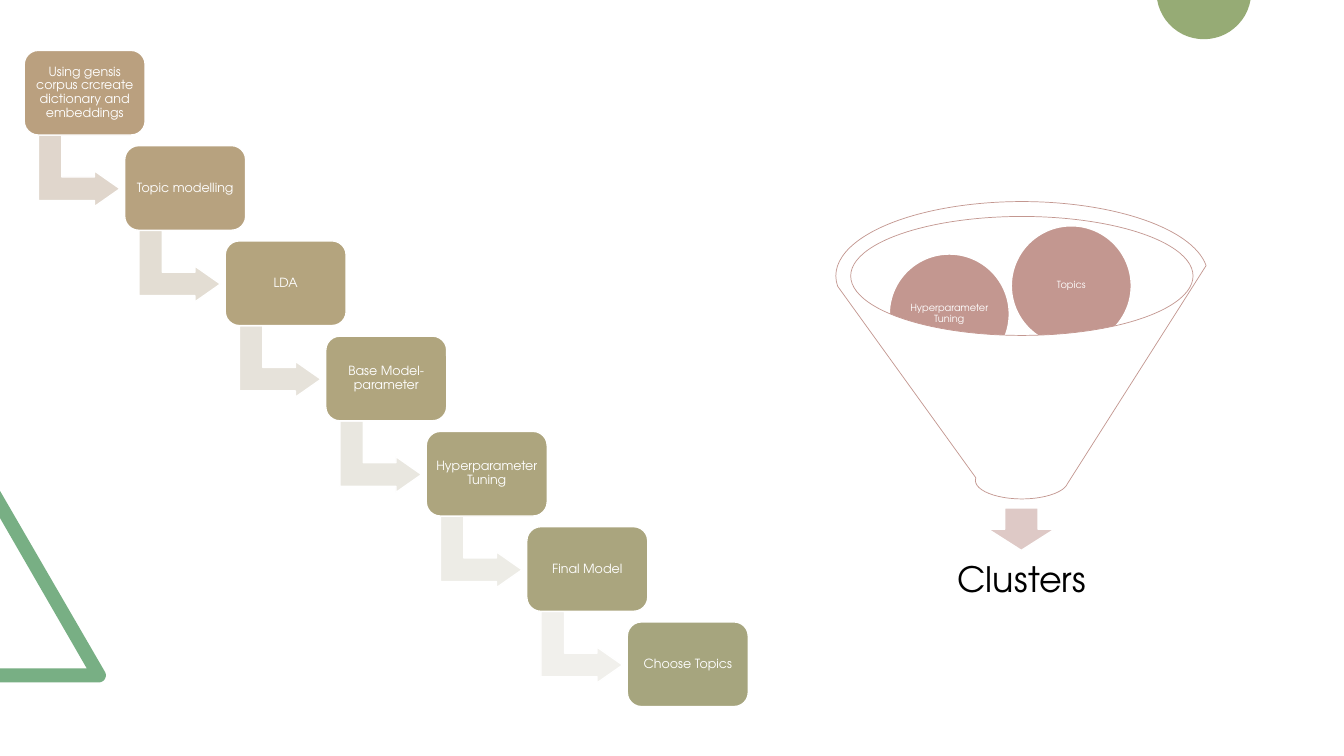
from math import cos, radians, sin

from pptx import Presentation
from pptx.dml.color import RGBColor
from pptx.enum.shapes import MSO_SHAPE
from pptx.enum.text import MSO_ANCHOR, PP_ALIGN
from pptx.util import Inches, Pt

STEPS = [
    ("Using gensis corpus crcreate dictionary and embeddings", "BAA07F", "E0D6CC"),
    ("Topic modelling", "B7A27F", "E3DDD3"),
    ("LDA", "B4A47E", "E6E2DA"),
    ("Base Model- parameter", "B0A57E", "E9E7E0"),
    ("Hyperparameter Tuning", "ADA57E", "EDECE6"),
    ("Final Model", "AAA57E", "F1F0EC"),
    ("Choose Topics", "A6A57E", None),
]
STEP_LEFT, STEP_TOP = 0.24, 0.5
STEP_ACROSS, STEP_DOWN = 0.997, 0.945
BALLS = [("Hyperparameter Tuning", 8.82, 2.52), ("Topics", 10.03, 2.24)]


def color(value):
    return RGBColor.from_string(value)


def apply(target, values):
    for name, value in values.items():
        setattr(target, name, value)


def arc(center_x, center_y, radius, start, end, count=24):
    angles = [radians(start + (end - start) * i / count) for i in range(count + 1)]
    return [(center_x + radius * cos(a), center_y + radius * sin(a)) for a in angles]


class SlideBuilder:
    font = "TeX Gyre Adventor"

    def __init__(self, page):
        self.page = page

    def paint(self, shape, fill, line=None, width=1):
        shape.shadow.inherit = False
        shape.fill.solid()
        shape.fill.fore_color.rgb = color(fill)
        if line:
            shape.line.color.rgb = color(line)
            shape.line.width = Pt(width)
        else:
            shape.line.fill.background()
        return shape

    def shape(self, kind, place, fill, line="FFFFFF", width=1, adjustments=(), rotation=0):
        shape = self.page.shapes.add_shape(kind, *map(Inches, place))
        for index, value in enumerate(adjustments):
            shape.adjustments[index] = value
        shape.rotation = rotation
        return self.paint(shape, fill, line, width)

    def outline(self, points, fill):
        corners = [(Inches(x), Inches(y)) for x, y in points]
        builder = self.page.shapes.build_freeform(*corners[0])
        builder.add_line_segments(corners[1:], close=True)
        return self.paint(builder.convert_to_shape(), fill)

    def set_text(self, shape, text, size, inset, ink="FFFFFF"):
        frame = shape.text_frame
        apply(frame, {"word_wrap": True, "vertical_anchor": MSO_ANCHOR.MIDDLE})
        sides = ("left", "top", "right", "bottom")
        apply(frame, {f"margin_{side}": Inches(inset) for side in sides})
        para = frame.paragraphs[0]
        apply(para, {"alignment": PP_ALIGN.CENTER, "line_spacing": 0.9})
        span = para.add_run()
        span.text = text
        apply(span.font, {"name": self.font, "size": Pt(size)})
        span.font.color.rgb = color(ink)

    def label(self, place, text, size, inset, ink):
        box = self.page.shapes.add_textbox(*map(Inches, place))
        self.set_text(box, text, size, inset, ink)


def main():
    deck = Presentation()
    apply(deck, {"slide_width": Inches(13.33), "slide_height": Inches(7.5)})
    builder = SlideBuilder(deck.slides.add_slide(deck.slide_layouts[6]))

    triangle = [(0, 6.77), (0, 6.63), (0.86, 6.63), (0, 5.14), (0, 4.87)]
    builder.outline(triangle + arc(0.98, 6.7, 0.07, -30, 90), "78AF84")
    builder.outline(arc(11.94, -0.08, 0.47, 10, 170), "96AB75")

    for index, (text, fill, arrow_fill) in enumerate(STEPS):
        left = STEP_LEFT + index * STEP_ACROSS
        top = STEP_TOP + index * STEP_DOWN
        if arrow_fill:
            builder.shape(MSO_SHAPE.BENT_UP_ARROW, (left + 0.19, top + 0.79, 0.71, 0.81),
                          arrow_fill, adjustments=(0.328, 0.25, 0.358), rotation=90)
        step = builder.shape(MSO_SHAPE.ROUNDED_RECTANGLE, (left, top, 1.2, 0.84),
                             fill, adjustments=(0.167,))
        builder.set_text(step, text, 9, 0.04)

    builder.shape(MSO_SHAPE.DOWN_ARROW, (9.8, 5.04, 0.66, 0.42), "DEC9C6")
    builder.label((8.55, 5.37, 3.17, 0.79), "Clusters", 25, 0.19, "000000")
    for text, left, top in BALLS:
        ball = builder.shape(MSO_SHAPE.OVAL, (left, top, 1.19, 1.19), "C39790")
        builder.set_text(ball, text, 7, 0.01)
    builder.shape(MSO_SHAPE.FUNNEL, (8.29, 2, 3.69, 2.95), "FFFFFF", "C39790", 0.5)

    deck.save("out.pptx")


if __name__ == "__main__":
    main()
